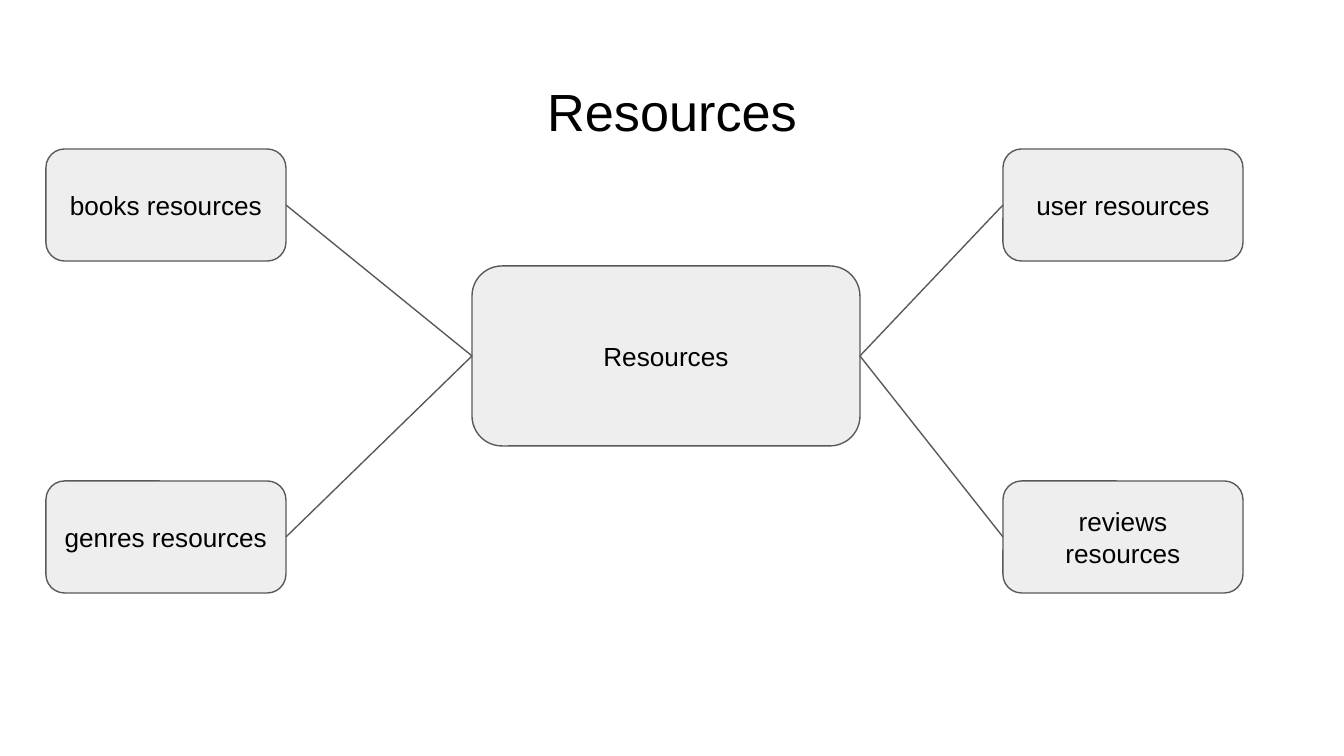
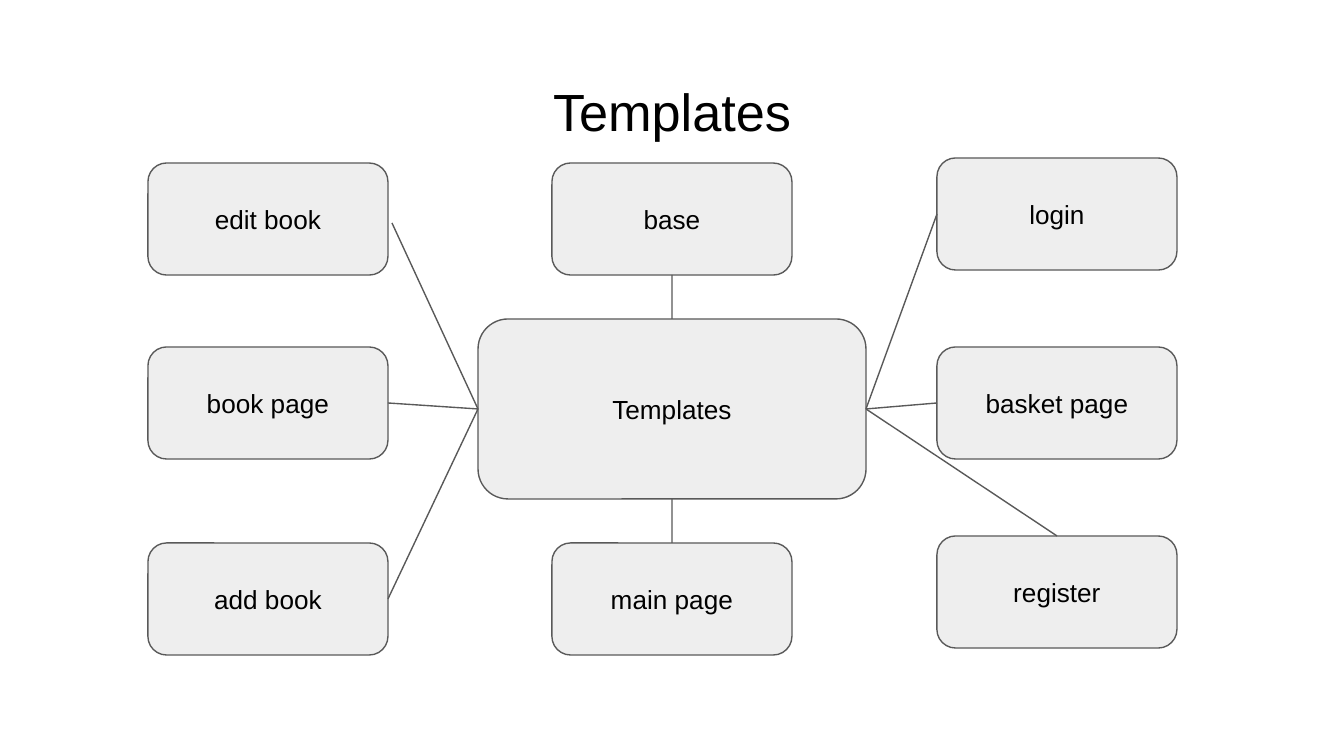
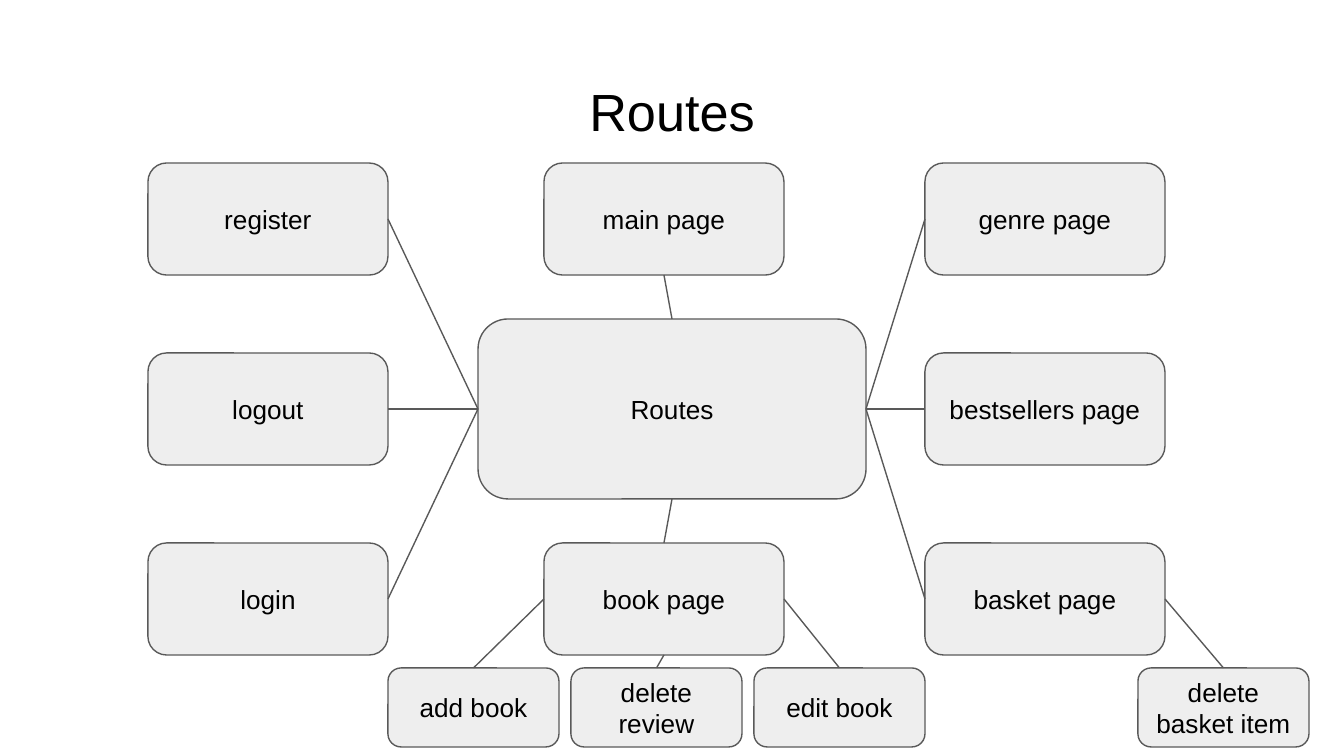
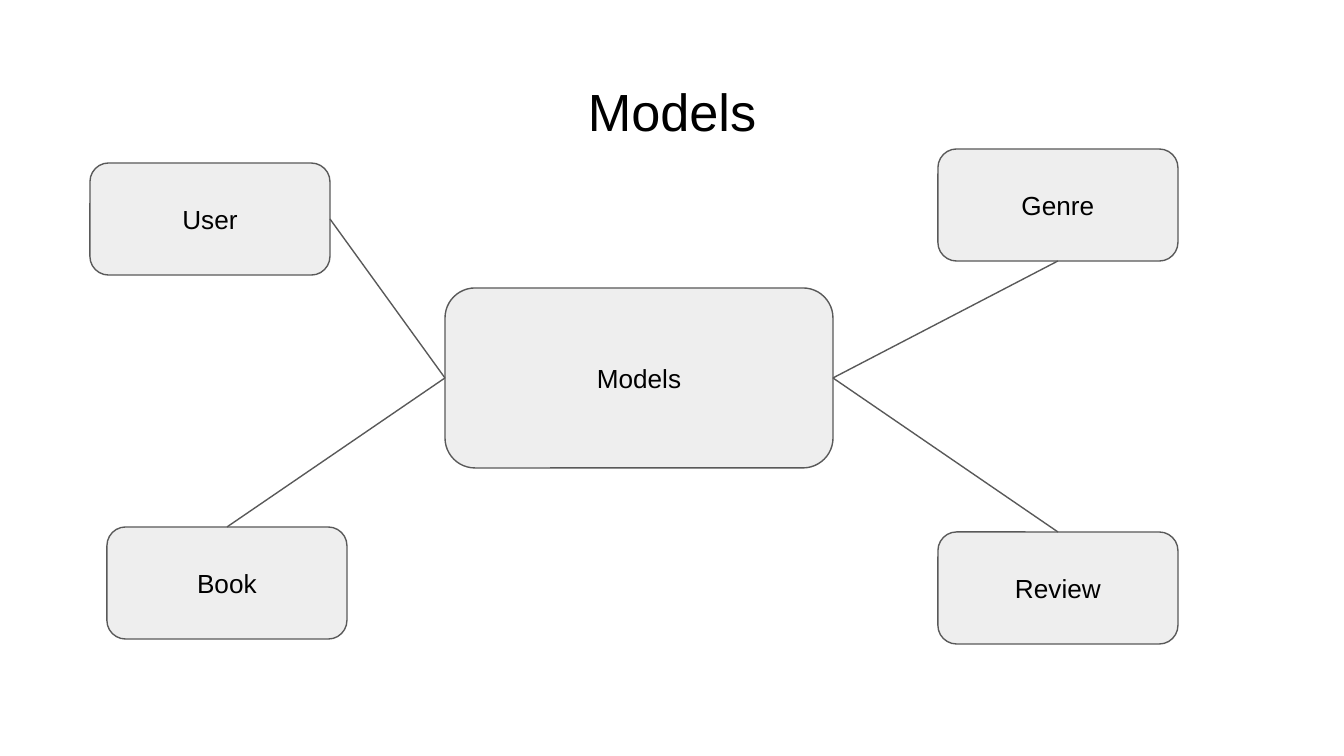
"""Build four hub-and-box diagrams of a book shop web app."""
from dataclasses import dataclass
from typing import Any, NamedTuple

from lxml import etree
from pptx import Presentation
from pptx.dml.color import RGBColor
from pptx.enum.shapes import MSO_CONNECTOR, MSO_SHAPE
from pptx.enum.text import MSO_ANCHOR, PP_ALIGN
from pptx.oxml.ns import qn
from pptx.util import Emu, Pt

ROUND = MSO_SHAPE.ROUNDED_RECTANGLE
STRAIGHT = MSO_CONNECTOR.STRAIGHT
MIDDLE, UPPER = MSO_ANCHOR.MIDDLE, MSO_ANCHOR.TOP
CENTER = PP_ALIGN.CENTER
TOP, LEFT, BOTTOM, RIGHT = range(4)

SCALE = 9144000 / 1344
INK, FILL, EDGE = "000000", "EEEEEE", "595959"
FONT = "Arial"


class Size(NamedTuple):
    """Width and height in pixels."""
    w: int
    h: int


PAGE, HUB, BOX, LEAF = Size(1344, 756), Size(388, 180), Size(240, 112), Size(171, 79)
TITLE = (46, 66, 1252, 84)


@dataclass(frozen=True)
class Box:
    """A labelled box and the sides its link joins; no host means the hub."""
    text: str
    x: int
    y: int
    side: int = RIGHT
    end: int = LEFT
    size: Size = BOX
    host: str = ""
    shift: tuple[int, int] = (0, 0)


@dataclass(frozen=True)
class Chart:
    """One slide: its title, which also names the hub, and its boxes."""
    title: str
    x: int
    y: int
    boxes: list[Box]


def px(length: float) -> Emu:
    """Turn pixels into EMU."""
    return Emu(round(length * SCALE))


def tint(code: str) -> RGBColor:
    """Turn a hex string into a colour."""
    return RGBColor.from_string(code)


def style(target: Any, values: dict[str, Any]) -> None:
    """Set each named attribute on the target."""
    for name, value in values.items():
        setattr(target, name, value)


def write(shape: Any, text: str, size: int, anchor: Any) -> None:
    """Put centred text in a shape."""
    inset = px(13.44)
    frame = shape.text_frame
    style(frame, {"word_wrap": True, "vertical_anchor": anchor,
                  "margin_left": inset, "margin_right": inset,
                  "margin_top": inset, "margin_bottom": inset})
    para = frame.paragraphs[0]
    para.alignment = CENTER
    run = para.add_run()
    run.text = text
    style(run.font, {"name": FONT, "size": Pt(size)})
    run.font.color.rgb = tint(INK)


def edge(shape: Any) -> None:
    """Give a shape or connector the shared thin line."""
    shape.line.color.rgb = tint(EDGE)
    shape.line.width = Pt(0.75)


def draw(slide: Any, box: Box) -> Any:
    """Draw one rounded box."""
    shape = slide.shapes.add_shape(ROUND, *map(px, (box.x, box.y, *box.size)))
    shape.shadow.inherit = False
    shape.fill.solid()
    shape.fill.fore_color.rgb = tint(FILL)
    edge(shape)
    write(shape, box.text, 14, MIDDLE)
    return shape


def spot(box: Box, side: int) -> tuple[float, float]:
    """Find the middle of one side of a box."""
    across = {LEFT: 0, RIGHT: 1}.get(side, 0.5)
    down = {TOP: 0, BOTTOM: 1}.get(side, 0.5)
    return box.x + across * box.size.w, box.y + down * box.size.h


def link(slide: Any, box: Box, host: Box, shapes: dict[str, Any]) -> None:
    """Join a box to its host, loosely if the link is shifted."""
    x, y = spot(box, box.side)
    start = (x + box.shift[0], y + box.shift[1])
    line = slide.shapes.add_connector(
        STRAIGHT, *map(px, (*start, *spot(host, box.end))))
    if not any(box.shift):
        line.begin_connect(shapes[box.text], box.side)
    line.end_connect(shapes[host.text], box.end)
    edge(line)
    etree.SubElement(line.element.spPr, qn("a:effectLst"))


def build(deck: Any, chart: Chart) -> None:
    """Add one slide with its title, boxes and links."""
    slide = deck.slides.add_slide(deck.slide_layouts[6])
    title = slide.shapes.add_textbox(*map(px, TITLE))
    write(title, chart.title, 28, UPPER)
    hub = Box(chart.title, chart.x, chart.y, size=HUB)
    boxes = {box.text: box for box in (hub, *chart.boxes)}
    shapes = {name: draw(slide, box) for name, box in boxes.items()}
    for box in chart.boxes:
        link(slide, box, boxes[box.host or hub.text], shapes)


ROWS = [163 + 190 * row for row in range(3)]
LEAVES = [388 + 183 * col for col in range(3)]
LEAF_Y = 668

CHARTS = [
    Chart("Resources", 472, 266, [
        Box("books resources", 46, 149),
        Box("genres resources", 46, 481),
        Box("reviews resources", 1003, 481, LEFT, RIGHT),
        Box("user resources", 1003, 149, LEFT, RIGHT),
    ]),
    Chart("Templates", 478, 319, [
        Box("main page", 552, ROWS[2], TOP, BOTTOM),
        Box("base", 552, ROWS[0], BOTTOM, TOP),
        Box("basket page", 937, 347, LEFT, RIGHT),
        Box("book page", 148, 347),
        Box("edit book", 148, ROWS[0], shift=(4, 4)),
        Box("add book", 148, ROWS[2]),
        Box("register", 937, 536, TOP, RIGHT),
        Box("login", 937, 158, LEFT, RIGHT),
    ]),
    Chart("Routes", 478, 319, [
        *(Box(name, 148, y)
          for name, y in zip(("register", "logout", "login"), ROWS)),
        Box("main page", 544, ROWS[0], BOTTOM, TOP),
        Box("book page", 544, ROWS[2], TOP, BOTTOM),
        *(Box(name, 925, y, LEFT, RIGHT)
          for name, y in zip(("genre page", "bestsellers page", "basket page"), ROWS)),
        *(Box(name, x, LEAF_Y, TOP, end, LEAF, "book page")
          for name, x, end in zip(("add book", "delete review", "edit book"),
                                  LEAVES, (LEFT, BOTTOM, RIGHT))),
        Box("delete basket item", 1138, LEAF_Y, TOP, RIGHT, LEAF, "basket page"),
    ]),
    Chart("Models", 445, 288, [
        Box("User", 90, 163),
        Box("Book", 107, 527, TOP),
        Box("Review", 938, 532, TOP, RIGHT),
        Box("Genre", 938, 149, BOTTOM, RIGHT),
    ]),
]


def main() -> None:
    """Build and save the deck."""
    deck = Presentation()
    style(deck, {"slide_width": px(PAGE.w), "slide_height": px(PAGE.h)})
    for chart in CHARTS:
        build(deck, chart)
    deck.save("out.pptx")


main()
